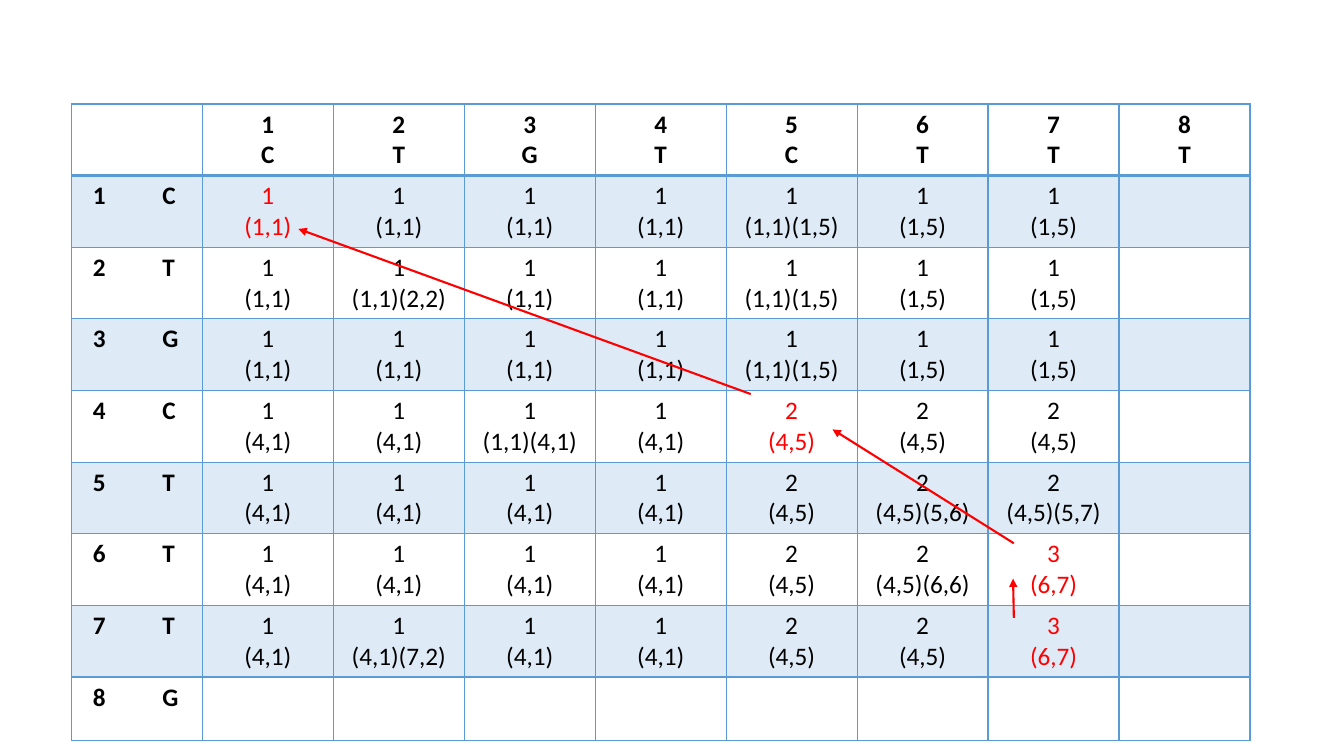
from lxml import etree
from pptx import Presentation
from pptx.dml.color import RGBColor
from pptx.enum.shapes import MSO_CONNECTOR
from pptx.enum.text import PP_ALIGN
from pptx.oxml.ns import qn
from pptx.util import Cm, Pt

CENTER = PP_ALIGN.CENTER
STRAIGHT = MSO_CONNECTOR.STRAIGHT
FONT = "Calibri"
COLORS = {"text": "000000", "path": "FF0000", "grid": "5B9BD5", "band": "DEEBF7"}

# Content: the two sequences, and a score with its cell references per pair
ACROSS = "CTGTCTTT"
DOWN = "CTGCTTTG"
SCORES = [
    ["1 (1,1)", "1 (1,1)", "1 (1,1)", "1 (1,1)", "1 (1,1)(1,5)", "1 (1,5)", "1 (1,5)"],
    ["1 (1,1)", "1 (1,1)(2,2)", "1 (1,1)", "1 (1,1)", "1 (1,1)(1,5)", "1 (1,5)", "1 (1,5)"],
    ["1 (1,1)", "1 (1,1)", "1 (1,1)", "1 (1,1)", "1 (1,1)(1,5)", "1 (1,5)", "1 (1,5)"],
    ["1 (4,1)", "1 (4,1)", "1 (1,1)(4,1)", "1 (4,1)", "2 (4,5)", "2 (4,5)", "2 (4,5)"],
    ["1 (4,1)", "1 (4,1)", "1 (4,1)", "1 (4,1)", "2 (4,5)", "2 (4,5)(5,6)", "2 (4,5)(5,7)"],
    ["1 (4,1)", "1 (4,1)", "1 (4,1)", "1 (4,1)", "2 (4,5)", "2 (4,5)(6,6)", "3 (6,7)"],
    ["1 (4,1)", "1 (4,1)(7,2)", "1 (4,1)", "1 (4,1)", "2 (4,5)", "2 (4,5)", "3 (6,7)"],
]
TRACEBACK = {(1, 1), (4, 5), (6, 7), (7, 7)}
# Arrows in cm: start x, start y, end x, end y
ARROWS = [
    (25.55, 13.69, 20.98, 10.82),
    (18.92, 9.93, 7.52, 5.77),
    (25.55, 15.57, 25.53, 14.58),
]

# Layout in cm
LEFT, TOP, COL_W, ROW_H, LAST_ROW_H = 1.8, 2.62, 3.3, 1.8, 1.6
LABEL_INSET, LABEL_TAB = 0.54, 1.75


def rgb(name):
    return RGBColor.from_string(COLORS[name])


def add_borders(cell, bottom):
    tcPr = cell._tc.get_or_add_tcPr()
    for side, width in (("L", 1), ("R", 1), ("T", 1), ("B", bottom)):
        ln = etree.SubElement(tcPr, qn(f"a:ln{side}"), w=str(Pt(width)))
        fill = etree.SubElement(ln, qn("a:solidFill"))
        etree.SubElement(fill, qn("a:srgbClr"), val=COLORS["grid"])


def write(cell, lines, bold, color="text", align=CENTER, tab=None):
    tf = cell.text_frame
    tf.text = "\n".join(lines)
    for p in tf.paragraphs:
        if tab:
            tabs = etree.SubElement(p._p.get_or_add_pPr(), qn("a:tabLst"))
            etree.SubElement(tabs, qn("a:tab"), pos=str(Cm(tab)), algn="l")
        p.alignment = align
        p.font.name, p.font.size, p.font.bold = FONT, Pt(18), bold
        p.font.color.rgb = rgb(color)


prs = Presentation()
prs.slide_width, prs.slide_height = Cm(33.87), Cm(19.05)
slide = prs.slides.add_slide(prs.slide_layouts[6])

# Table frame
n_rows, n_cols = len(DOWN) + 1, len(ACROSS) + 1
heights = [ROW_H] * (n_rows - 1) + [LAST_ROW_H]
table = slide.shapes.add_table(n_rows, n_cols, Cm(LEFT), Cm(TOP),
                               Cm(COL_W * n_cols), Cm(sum(heights))).table
table.first_row = table.horz_banding = False
for col in table.columns:
    col.width = Cm(COL_W)
for i, (row, height) in enumerate(zip(table.rows, heights)):
    row.height = Cm(height)
    for cell in row.cells:
        add_borders(cell, bottom=2 if i == 0 else 1)
        if i % 2:
            cell.fill.solid()
            cell.fill.fore_color.rgb = rgb("band")
        else:
            cell.fill.background()

# Sequence labels
for j, letter in enumerate(ACROSS, 1):
    write(table.cell(0, j), [str(j), letter], bold=True)
for i, letter in enumerate(DOWN, 1):
    cell = table.cell(i, 0)
    cell.margin_left = Cm(LABEL_INSET)
    write(cell, [f"{i}\t{letter}"], bold=True, align=None, tab=LABEL_TAB)

# Scores
for i, scores in enumerate(SCORES, 1):
    for j, score in enumerate(scores, 1):
        color = "path" if (i, j) in TRACEBACK else "text"
        write(table.cell(i, j), score.split(), bold=False, color=color)

# Traceback arrows
for ends in ARROWS:
    arrow = slide.shapes.add_connector(STRAIGHT, *map(Cm, ends))
    arrow.line.color.rgb = rgb("path")
    arrow.line.width = Pt(1.5)
    etree.SubElement(arrow.line._get_or_add_ln(), qn("a:tailEnd"), type="triangle")
    etree.SubElement(arrow._element.spPr, qn("a:effectLst"))

prs.save("out.pptx")
